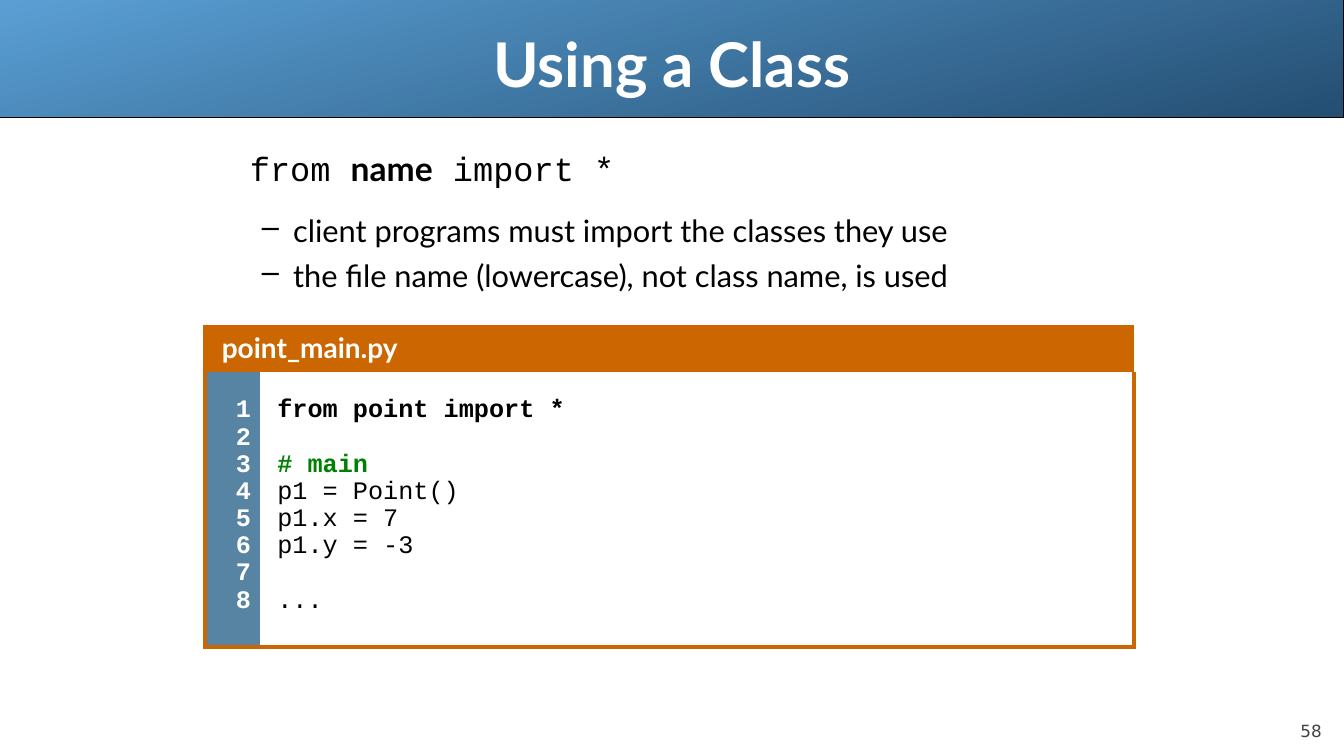
"""Build the slide on using a class, with its numbered code listing."""
from dataclasses import dataclass
from lxml.etree import SubElement, Element
from pptx import Presentation
from pptx.dml.color import RGBColor
from pptx.enum.shapes import MSO_SHAPE
from pptx.enum.text import MSO_ANCHOR, PP_ALIGN
from pptx.oxml.ns import qn
from pptx.util import Inches, Pt

TITLE = "Using a Class"
IMPORT = [("from ", "code", False), ("name", "body", True), (" import *", "code", False)]
POINTS = [
    "client programs must import the classes they use",
    "the file name (lowercase), not class name, is used",
]
FILE = "point_main.py"
CODE = [
    ("from point import *", "ink", True),
    ("", "ink", False),
    ("# main", "green", True),
    ("p1 = Point()", "ink", False),
    ("p1.x = 7", "ink", False),
    ("p1.y = -3", "ink", False),
    ("", "ink", False),
    ("...", "ink", False),
]
COUNT = [(str(n), "white", True) for n in range(1, len(CODE) + 1)]
PAGE = "58"


@dataclass(frozen=True)
class Theme:
    """Fonts, type sizes and colours."""
    body: str = "Lato"
    code: str = "Courier New"
    foot: str = "DejaVu Sans"
    head_pt: int = 44
    lead_pt: int = 24
    point_pt: int = 22
    file_pt: int = 20
    code_pt: int = 18
    page_pt: int = 12
    ink: str = "000000"
    white: str = "FFFFFF"
    green: str = "008000"
    grey: str = "424242"
    orange: str = "CC6600"
    slate: str = "5784A3"
    light: str = "5A9FD4"
    dark: str = "244E72"


LOOK = Theme()
WIDE, HIGH = 13.33, 7.5
COLS, ROWS = (0.55, 8.67), (0.45, 2.73)


def tint(name):
    return RGBColor.from_string(getattr(LOOK, name))


def style(font, face, size, color, bold=False):
    font.name, font.size, font.bold = getattr(LOOK, face), Pt(size), bold
    font.color.rgb = tint(color)


def indent(para, left, first=0):
    props = para._p.get_or_add_pPr()
    props.set("marL", str(Inches(left)))
    props.set("indent", str(Inches(first)))
    return props


def inset(frame, left, top, right, bottom):
    frame.margin_left, frame.margin_top = Inches(left), Inches(top)
    frame.margin_right, frame.margin_bottom = Inches(right), Inches(bottom)


def place(shape, *box):
    shape.left, shape.top, shape.width, shape.height = map(Inches, box)


def draw_head(slide):
    band = slide.shapes.add_shape(MSO_SHAPE.RECTANGLE, 0, 0, Inches(WIDE), Inches(1.17))
    band.shadow.inherit = False
    band.fill.gradient()
    band.fill.gradient_angle = 285
    for stop, name in zip(band.fill.gradient_stops, ("light", "dark")):
        stop.color.rgb = tint(name)
    band.line.color.rgb, band.line.width = tint("ink"), Pt(0.75)
    title = slide.shapes.title
    title._element.addprevious(band._element)
    place(title, (WIDE - 9) / 2, 0, 9, 1.25)
    frame = title.text_frame
    frame.text, frame.vertical_anchor = TITLE, MSO_ANCHOR.MIDDLE
    para = frame.paragraphs[0]
    para.alignment = PP_ALIGN.CENTER
    style(para.runs[0].font, "body", LOOK.head_pt, "white", True)


def draw_body(slide):
    box = slide.shapes.add_textbox(*map(Inches, (2, 1.42, 9.5, 1.7)))
    frame = box.text_frame
    frame.word_wrap = True
    lead = frame.paragraphs[0]
    indent(lead, 0.38)
    for text, face, bold in IMPORT:
        run = lead.add_run()
        run.text = text
        style(run.font, face, LOOK.lead_pt, "ink", bold)
    for text, gap in zip(POINTS, (17, 5.5)):
        para = frame.add_paragraph()
        para.text, para.level, para.space_before = text, 1, Pt(gap)
        props = indent(para, 0.81, -0.31)
        SubElement(props, qn("a:buChar")).set("char", "–")
        style(para.runs[0].font, "body", LOOK.point_pt, "ink")


def edge(cell, sides):
    props = cell._tc.get_or_add_tcPr()
    for spot, side in enumerate(sides):
        line = Element(qn(f"a:ln{side}"), w=str(Pt(3)))
        fill = SubElement(line, qn("a:solidFill"))
        SubElement(fill, qn("a:srgbClr")).set("val", LOOK.orange)
        props.insert(spot, line)


def fill_cell(cell, lines, face, size, ratio, align, fill, pads, sides):
    cell.fill.solid()
    cell.fill.fore_color.rgb = tint(fill)
    inset(cell, *pads)
    edge(cell, sides)
    frame = cell.text_frame
    frame.text = "\n".join(text for text, _, _ in lines)
    for spot, (para, (_, color, bold)) in enumerate(zip(frame.paragraphs, lines)):
        indent(para, 0.12)
        para.alignment, para.line_spacing = align, ratio
        if spot:
            para.space_before = Pt(4.5)
        for run in para.runs:
            style(run.font, face, size, color, bold)
        if not para.runs:
            end = SubElement(para._p, qn("a:endParaRPr"), sz=str(size * 100))
            SubElement(end, qn("a:latin")).set("typeface", getattr(LOOK, face))


def draw_code(slide):
    spot = map(Inches, (2.03, 3.24, sum(COLS), sum(ROWS)))
    frame = slide.shapes.add_table(len(ROWS), len(COLS), *spot)
    table = frame.table
    table.first_row = table.horz_banding = False
    plain = "{2D5ABB26-0587-4C30-8999-92F81FD0307C}"
    table._tbl.tblPr.find(qn("a:tableStyleId")).text = plain
    for col, size in zip(table.columns, COLS):
        col.width = Inches(size)
    for row, size in zip(table.rows, ROWS):
        row.height = Inches(size)
    table.cell(0, 0).merge(table.cell(0, 1))
    left, right = PP_ALIGN.LEFT, PP_ALIGN.RIGHT
    fill_cell(table.cell(0, 0), [(FILE, "white", True)], "body", LOOK.file_pt, 0.98,
              left, "orange", (0.05,) * 4, "LT")
    fill_cell(table.cell(1, 0), COUNT, "code", LOOK.code_pt, 0.73,
              right, "slate", (0.05, 0.29, 0.09, 0.23), "LB")
    fill_cell(table.cell(1, 1), CODE, "code", LOOK.code_pt, 0.73,
              left, "white", (0.05, 0.29, 0.18, 0.23), "RB")


def draw_page(slide):
    box = slide.shapes.add_textbox(*map(Inches, (12, 6.95, 1.11, 0.4)))
    frame = box.text_frame
    frame.word_wrap, frame.vertical_anchor = True, MSO_ANCHOR.BOTTOM
    inset(frame, 0, 0, 0, 0)
    frame.text = PAGE
    para = frame.paragraphs[0]
    para.alignment = PP_ALIGN.RIGHT
    style(para.runs[0].font, "foot", LOOK.page_pt, "grey")


def main():
    deck = Presentation()
    deck.slide_width, deck.slide_height = Inches(WIDE), Inches(HIGH)
    slide = deck.slides.add_slide(deck.slide_layouts[5])
    for draw in (draw_head, draw_body, draw_code, draw_page):
        draw(slide)
    deck.save("out.pptx")


if __name__ == "__main__":
    main()
